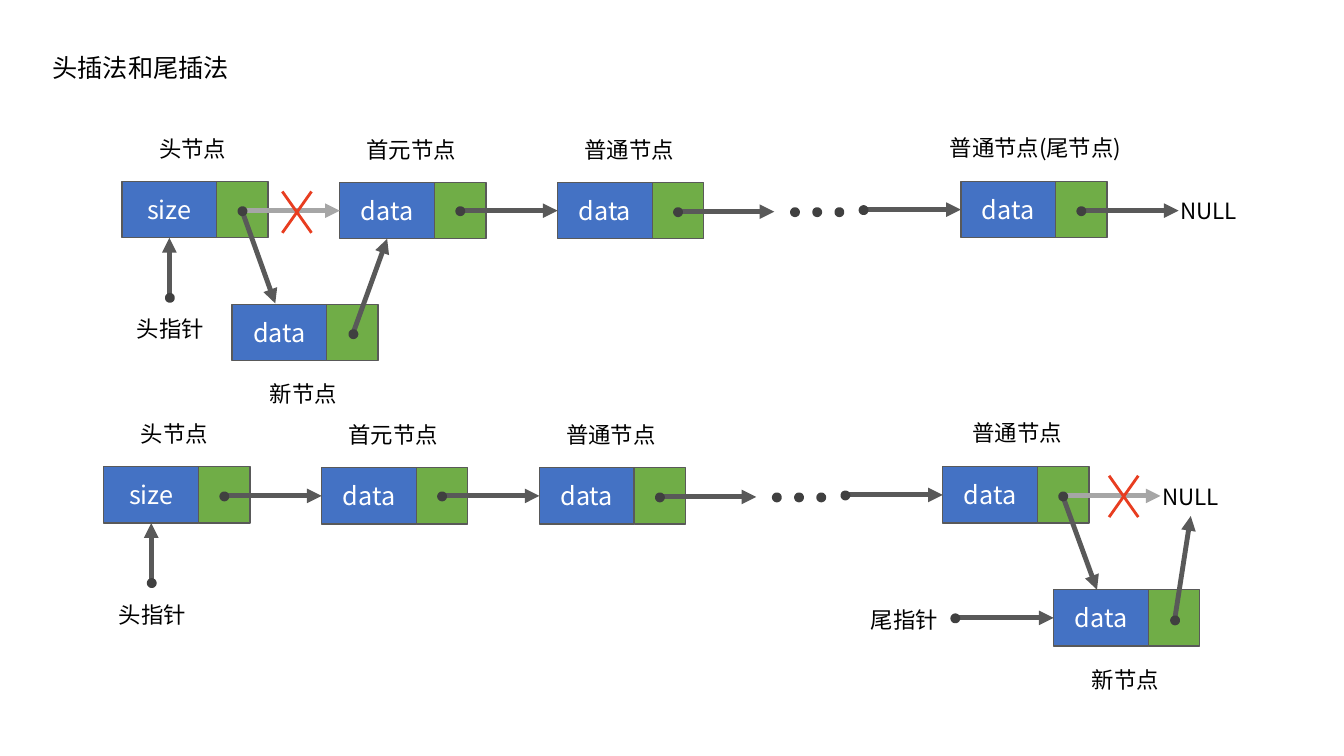
"""Build a slide that compares head insertion and tail insertion in a linked list."""
import pptx
import pptx.dml.color
import pptx.enum.shapes
import pptx.enum.text
import pptx.oxml
import pptx.oxml.ns
import pptx.util

PX = 9144
THEME = {
    "font": "Noto Sans CJK SC",
    "title": 18, "node": 18, "label": 16,
    "text": "000000", "node_text": "FFFFFF",
    "data": "4472C4", "next": "70AD47", "outline": "595959",
    "arrow": "595959", "removed": "A6A6A6", "cross": "E83D20", "dot": "404040",
}
RGB = pptx.dml.color.RGBColor.from_string
SHAPE = pptx.enum.shapes.MSO_SHAPE
ALIGN = pptx.enum.text.PP_ALIGN
NS = pptx.oxml.ns.nsdecls("a")
NODE_W, NEXT_W, NODE_H, DOT = 94, 51, 56, 5
LEFT, BOTTOM = 1, 2


def add_block(kind, x, y, w, h, fill, outline, width):
    """Add a filled preset shape and return it."""
    sp = s.shapes.add_shape(kind, x * PX, y * PX, w * PX, h * PX)
    sp.shadow.inherit = False
    sp.fill.solid()
    sp.fill.fore_color.rgb = RGB(THEME[fill])
    sp.line.color.rgb = RGB(THEME[outline])
    sp.line.width = pptx.util.Pt(width)
    return sp


def add_line(x1, y1, x2, y2, color, width):
    """Add a straight connector and return it."""
    c = s.shapes.add_connector(pptx.enum.shapes.MSO_CONNECTOR.STRAIGHT,
                               x1 * PX, y1 * PX, x2 * PX, y2 * PX)
    c.line.color.rgb = RGB(THEME[color])
    c.line.width = pptx.util.Pt(width)
    c._element.spPr.append(pptx.oxml.parse_xml(f"<a:effectLst {NS}/>"))
    return c


prs = pptx.Presentation()
prs.slide_width, prs.slide_height = 1333 * PX, 750 * PX
s = prs.slides.add_slide(prs.slide_layouts[5])

title = s.shapes.title
title.left, title.top, title.width, title.height = 42 * PX, 47 * PX, 366 * PX, 40 * PX
title.text_frame.vertical_anchor = pptx.enum.text.MSO_ANCHOR.TOP
texts = [(title, "头插法和尾插法", "title", "text", ALIGN.LEFT)]

rows = [
    {"dx": 0, "dy": 0, "tail": "普通节点(尾节点)", "new": (230, 302), "removed": 0,
     "cross": (280, 190),
     "splices": [(240, 209, 273, 301, None, None), (350, 331, 384, 237, "first", BOTTOM)],
     "labels": [("新节点", 249, 372, 104)]},
    {"dx": -18, "dy": 283, "tail": "普通节点", "new": (1045, 585), "removed": 4,
     "cross": (1100, 472),
     "splices": [(1054, 492, 1088, 585, None, None), (1165, 615, 1181, 512, None, None),
                 (947, 613, 1045, 613, "new", LEFT)],
     "labels": [("新节点", 1064, 656, 104), ("尾指针", 845, 596, 104)]},
]

for row in rows:
    dx, dy = row["dx"], row["dy"]
    nodes = {}
    places = [("head", "size", 121 + dx, 180 + dy), ("first", "data", 337 + dx, 181 + dy),
              ("second", "data", 553 + dx, 181 + dy), ("last", "data", 953 + dx, 180 + dy),
              ("new", "data", *row["new"])]
    for name, text, x, y in places:
        sp = add_block(SHAPE.RECTANGLE, x, y, NODE_W, NODE_H, "data", "outline", 1)
        add_block(SHAPE.RECTANGLE, x + NODE_W, y, NEXT_W, NODE_H, "next", "outline", 1)
        nodes[name] = sp
        texts.append((sp, text, "node", "node_text", ALIGN.CENTER))

    chain = [(240, 337, 209, "first"), (456, 553, 209, "second"), (672, 768, 210, None),
             (856, 953, 208, "last"), (1072, 1169, 209, None)]
    arrows = [(x1, y1, x2, y2, "arrow", target, site)
              for x1, y1, x2, y2, target, site in row["splices"]]
    arrows.append((168 + dx, 295 + dy, 168 + dx, 236 + dy, "arrow", "head", BOTTOM))
    for i, (x1, x2, y, target) in enumerate(chain):
        color = "removed" if i == row["removed"] else "arrow"
        arrows.append((x1 + dx, y + dy, x2 + dx, y + dy, color, target, LEFT))

    for x1, y1, x2, y2, color, target, site in arrows:
        c = add_line(x1, y1, x2, y2, color, 3.5)
        c.line._get_or_add_ln().append(pptx.oxml.parse_xml(
            f'<a:tailEnd {NS} type="triangle"/>'))
        if target:
            c.end_connect(nodes[target], site)

    dots = {(x1, y1) for x1, y1, *rest in arrows}
    dots.update((788 + dx + 22 * i, 210 + dy) for i in range(3))
    for x, y in sorted(dots):
        add_block(SHAPE.OVAL, x - 2, y - 2, DOT, DOT, "dot", "dot", 3.5)

    x, y = row["cross"]
    for y1, y2 in [(y, y + 41), (y + 41, y)]:
        add_line(x, y1, x + 29, y2, "cross", 2)

    labels = [(text, x + dx, y + dy, w) for text, x, y, w in [
        ("头节点", 139, 129, 104), ("首元节点", 343, 130, 130),
        ("普通节点", 559, 130, 130), (row["tail"], 930, 128, 194),
        ("头指针", 117, 308, 104), ("NULL", 1147, 191, 104)]]
    for text, x, y, w in labels + row["labels"]:
        sp = s.shapes.add_textbox(x * PX, y * PX, w * PX, 37 * PX)
        texts.append((sp, text, "label", "text", ALIGN.CENTER))

for sp, text, size, color, align in texts:
    tf = sp.text_frame
    tf.text = text
    tf.word_wrap = True
    if size == "node":
        tf.vertical_anchor = pptx.enum.text.MSO_ANCHOR.MIDDLE
    else:
        tf.auto_size = pptx.enum.text.MSO_AUTO_SIZE.SHAPE_TO_FIT_TEXT
    p = tf.paragraphs[0]
    p.alignment = align
    r = p.runs[0]
    r.font.size = pptx.util.Pt(THEME[size])
    r.font.color.rgb = RGB(THEME[color])
    r.font.name = THEME["font"]
    r.font._element.append(pptx.oxml.parse_xml(
        f'<a:ea {NS} typeface="{THEME["font"]}"/>'))

prs.save("out.pptx")
